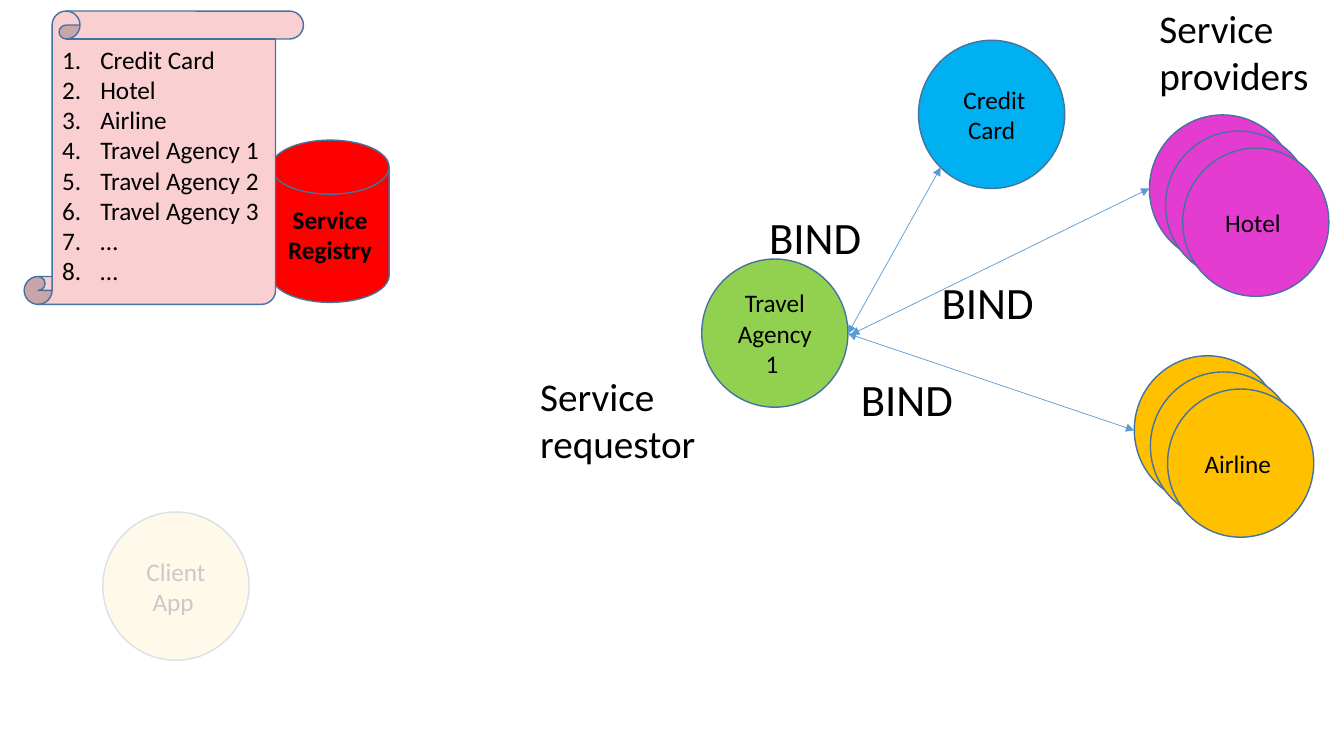
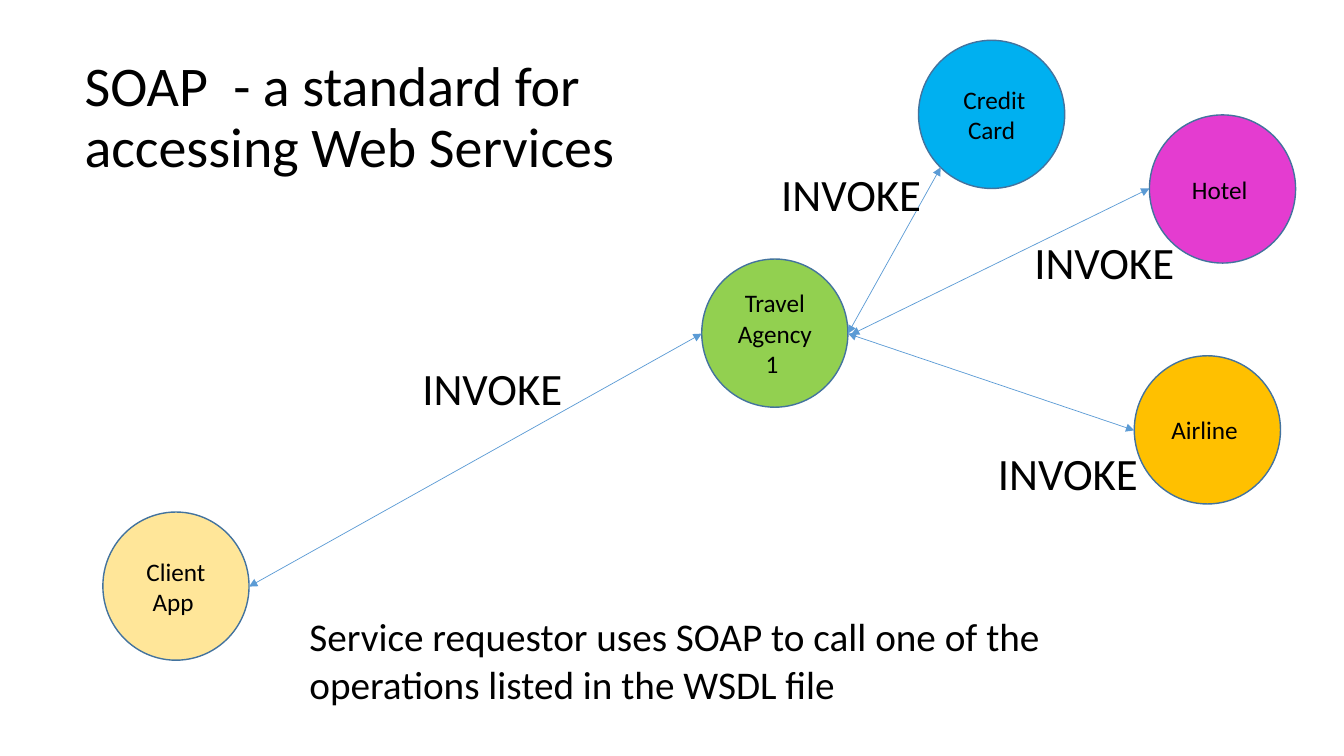
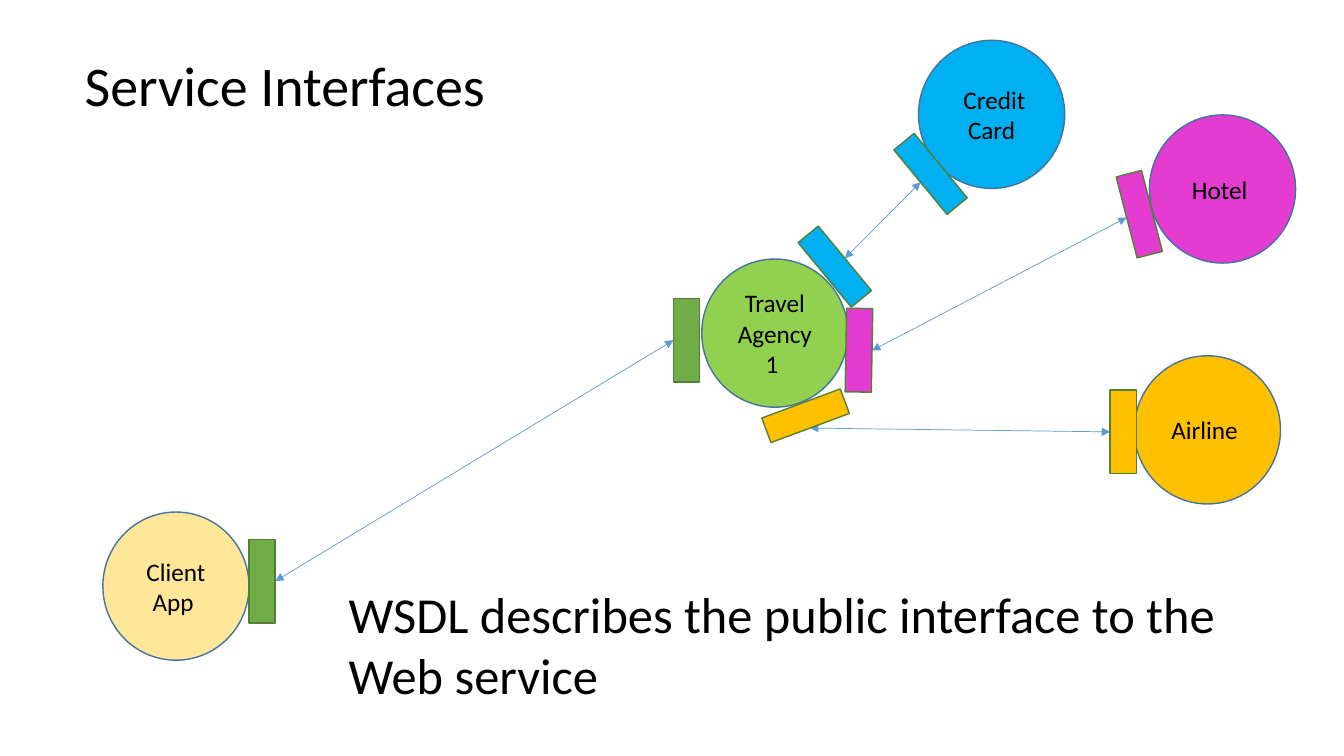
import math

from lxml import etree
from pptx import Presentation
from pptx import util as u
from pptx.dml.color import RGBColor
from pptx.enum import shapes, text
from pptx.oxml.ns import qn

SCALE = 9144
FONT = "Calibri"
BLACK, WHITE = "000000", "FFFFFF"
GREEN, LIME, RED = "70AD47", "92D050", "FF0000"
BLUE, MAGENTA, ORANGE = "00B0F0", "E43CD0", "FFC000"
CREAM, PINK = "FFE699", "F9CFD2"
OUTLINE, PORT_OUTLINE, ARROW = "43739E", "538035", "5B9BD5"

CIRCLE = (145, 147)
PORT = (26, 83)
LABEL = (194, 64)
LEFT, RIGHT = 1, 3

SERVICES = {
    "agency": ("Travel Agency 1 ", 696, 257, LIME),
    "airline": ("Airline ", 1125, 353, ORANGE),
    "hotel": ("Hotel ", 1140, 114, MAGENTA),
    "card": (" Credit Card", 911, 40, BLUE),
    "client": ("Client App ", 102, 508, CREAM),
}
PROVIDER_LINKS = [
    ((841, 331), (933, 166)),
    ((844, 332), (1140, 187)),
    ((841, 331), (1125, 427)),
]
CLIENT_LINK = ((247, 582), (696, 331))
REGISTRY_ENTRIES = [
    "Credit Card", "Hotel", "Airline", "Travel Agency 1",
    "Travel Agency 2", "Travel Agency 3", "…", "…",
]
PORT_PAIRS = [
    (GREEN, (247, 535, 0, RIGHT), (668, 296, 0, LEFT)),
    (BLUE, (815, 223, 320.5, RIGHT), (910, 131, 320.5, LEFT)),
    (MAGENTA, (839, 306, 1, RIGHT), (1117, 171, 345.5, LEFT)),
    (ORANGE, (786, 371, 69.6, RIGHT), (1101, 387, 0, LEFT)),
]


def px(value):
    return u.Emu(value * SCALE)


def color(value):
    return RGBColor.from_string(value)


def apply_format(target, **values):
    for name, value in values.items():
        setattr(target, name, value)


def write(shape, lines, size, bold=False, **paragraph_format):
    frame = shape.text_frame
    frame.word_wrap = True
    for index, line in enumerate(lines):
        paragraph = frame.paragraphs[0] if index == 0 else frame.add_paragraph()
        apply_format(paragraph, **paragraph_format)
        run = paragraph.add_run()
        run.text = line
        apply_format(run.font, name=FONT, size=u.Pt(size), bold=bold)
        run.font.color.rgb = color(BLACK)


def add_shape(slide, kind, box, fill, outline=OUTLINE):
    shape = slide.shapes.add_shape(kind, *map(px, box))
    shape.shadow.inherit = False
    shape.fill.solid()
    shape.fill.fore_color.rgb = color(fill)
    if outline:
        shape.line.color.rgb = color(outline)
        shape.line.width = u.Pt(1)
    else:
        shape.line.fill.background()
    return shape


def add_service(slide, name, shift=0):
    label, left, top, fill = SERVICES[name]
    box = (left + shift, top + shift, *CIRCLE)
    shape = add_shape(slide, shapes.MSO_SHAPE.FLOWCHART_CONNECTOR, box, fill)
    write(shape, [label], 18, alignment=text.PP_ALIGN.CENTER)


def add_text(slide, words, box, size, indent=0, grow=True, **paragraph_format):
    shape = slide.shapes.add_textbox(*map(px, box))
    write(shape, [words], size, **paragraph_format)
    if grow:
        shape.text_frame.auto_size = text.MSO_AUTO_SIZE.SHAPE_TO_FIT_TEXT
    if indent:
        properties = shape.text_frame.paragraphs[0]._p.get_or_add_pPr()
        properties.set("marL", str(px(indent)))
        properties.set("lvl", "1")


def add_title(slide, words):
    add_text(slide, words, (74, 53, 678, 241), 40, grow=False,
             line_spacing=0.9, space_before=u.Pt(10))


def add_labels(slide, words, places):
    for place in places:
        add_text(slide, words, (*place, *LABEL), 32)


def add_arrow(slide, start, end):
    connector = slide.shapes.add_connector(
        shapes.MSO_CONNECTOR.STRAIGHT, *map(px, (*start, *end)))
    connector.line.color.rgb = color(ARROW)
    connector.line.width = u.Pt(0.5)
    line = connector.line._get_or_add_ln()
    for tag in ("a:headEnd", "a:tailEnd"):
        etree.SubElement(line, qn(tag), type="triangle")
    etree.SubElement(connector._element.spPr, qn("a:effectLst"))
    return connector


def add_port(slide, fill, left, top, rotation):
    box = (left, top, *PORT)
    port = add_shape(slide, shapes.MSO_SHAPE.RECTANGLE, box, fill, PORT_OUTLINE)
    port.rotation = rotation
    return port


def side_middle(port, side):
    reach = port.width / 2 * (1 if side == RIGHT else -1)
    angle = math.radians(port.rotation)
    x = port.left + port.width / 2 + reach * math.cos(angle)
    y = port.top + port.height / 2 + reach * math.sin(angle)
    return round(x), round(y)


def add_port_pair(slide, fill, start, end):
    connector = add_arrow(slide, start[:2], end[:2])
    first, second = (add_port(slide, fill, *place[:3]) for place in (start, end))
    connector.begin_connect(first, start[3])
    connector.end_connect(second, end[3])
    begin_x, begin_y = side_middle(first, start[3])
    end_x, end_y = side_middle(second, end[3])
    apply_format(connector, begin_x=begin_x, begin_y=begin_y,
                 end_x=end_x, end_y=end_y)


def add_registry(slide):
    disk = add_shape(slide, shapes.MSO_SHAPE.FLOWCHART_MAGNETIC_DISK,
                     (269, 139, 117, 161), RED)
    write(disk, ["Service Registry"], 18, bold=True,
          alignment=text.PP_ALIGN.CENTER)
    scroll = add_shape(slide, shapes.MSO_SHAPE.VERTICAL_SCROLL,
                       (24, 11, 277, 291), PINK)
    scroll.adjustments[0] = 0.1
    write(scroll, REGISTRY_ENTRIES, 18, alignment=text.PP_ALIGN.LEFT)
    scroll.text_frame.vertical_anchor = text.MSO_ANCHOR.TOP
    for paragraph in scroll.text_frame.paragraphs:
        properties = paragraph._p.get_or_add_pPr()
        properties.set("marL", str(px(38)))
        properties.set("indent", str(-px(38)))
        etree.SubElement(properties, qn("a:buFont"), typeface="+mj-lt")
        etree.SubElement(properties, qn("a:buAutoNum"), type="arabicPeriod")


def add_veil(slide):
    veil = add_shape(slide, shapes.MSO_SHAPE.ROUNDED_RECTANGLE,
                     (0, 404, 501, 278), WHITE, None)
    fill_color = veil._element.spPr.find(".//" + qn("a:srgbClr"))
    etree.SubElement(fill_color, qn("a:alpha"), val="79000")


def add_base_slide(presentation):
    slide = presentation.slides.add_slide(presentation.slide_layouts[6])
    for name in SERVICES:
        add_service(slide, name)
    return slide


def build_bind(presentation):
    slide = add_base_slide(presentation)
    add_registry(slide)
    for link in PROVIDER_LINKS:
        add_arrow(slide, *link)
    add_veil(slide)
    add_labels(slide, "BIND", [(924, 268), (844, 364), (753, 203)])
    add_text(slide, "Service requestor", (526, 364, 253, 104), 28)
    add_text(slide, "Service providers", (1140, -1, 253, 104), 28)
    for name in ("hotel", "airline"):
        for shift in (16, 33):
            add_service(slide, name, shift)


def build_invoke(presentation):
    slide = add_base_slide(presentation)
    for link in [CLIENT_LINK, *PROVIDER_LINKS]:
        add_arrow(slide, *link)
    add_title(slide, "SOAP  - a standard for accessing Web Services")
    add_labels(slide, "INVOKE",
               [(765, 160), (980, 437), (1016, 228), (409, 353)])
    add_text(slide, "Service requestor uses SOAP to call one of the "
             "operations listed in the WSDL file",
             (247, 603, 885, 104), 28, indent=50)


def build_interfaces(presentation):
    slide = add_base_slide(presentation)
    add_title(slide, "Service Interfaces")
    for pair in PORT_PAIRS:
        add_port_pair(slide, *pair)
    add_text(slide, "WSDL describes the public interface to the Web service",
             (286, 574, 966, 131), 36, indent=50)


def main():
    presentation = Presentation()
    apply_format(presentation, slide_width=px(1333), slide_height=px(750))
    for build in (build_bind, build_invoke, build_interfaces):
        build(presentation)
    presentation.save("out.pptx")


if __name__ == "__main__":
    main()
